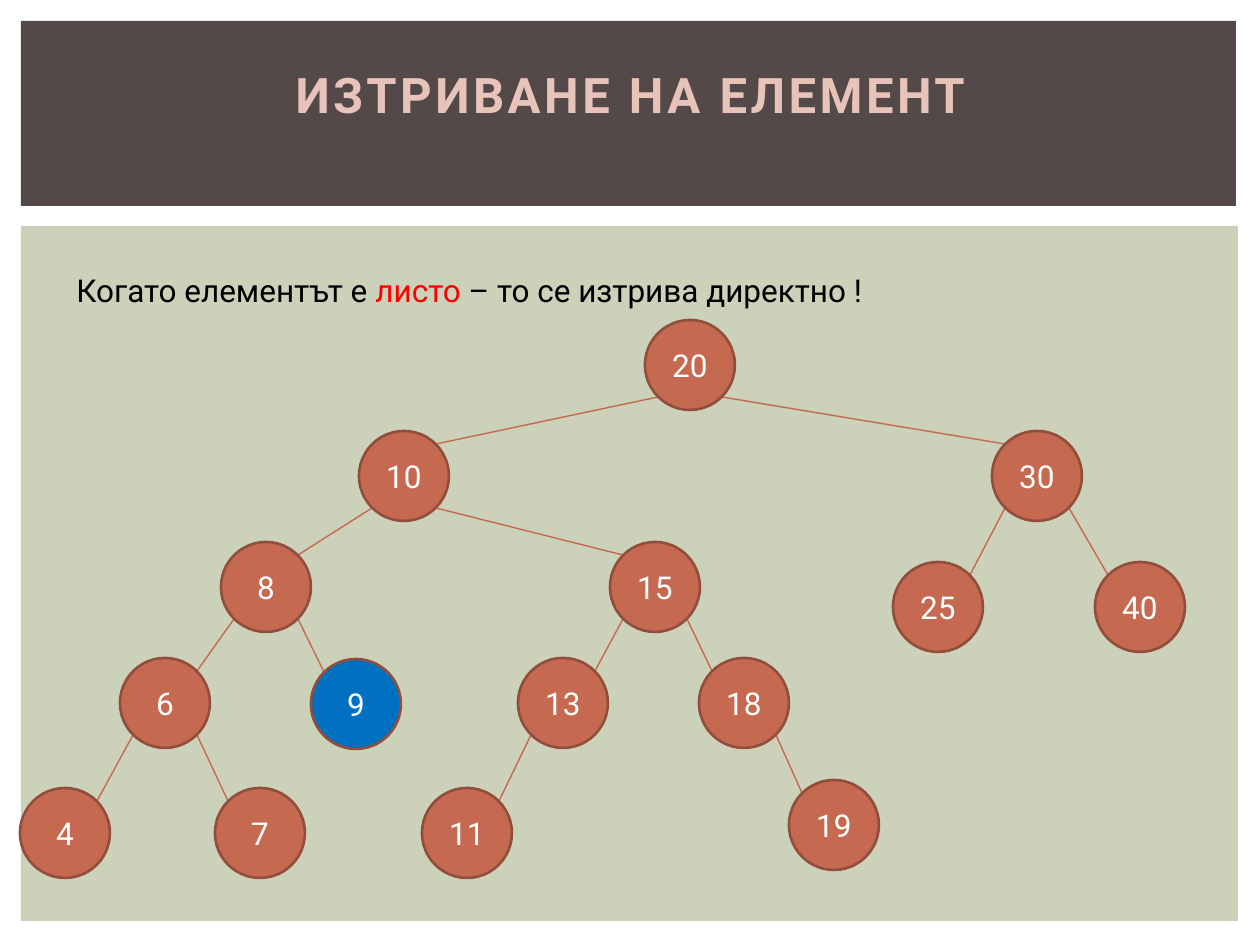
from pptx import Presentation
from pptx.dml.color import RGBColor
from pptx.enum.shapes import MSO_CONNECTOR, MSO_SHAPE
from pptx.enum.text import MSO_ANCHOR, PP_ALIGN
from pptx.oxml.ns import qn
from pptx.util import Pt
from lxml.etree import SubElement

TITLE = "ИЗТРИВАНЕ НА ЕЛЕМЕНТ"
RULE = [
    ("Когато елементът е ", "000000"),
    ("листо", "FF0000"),
    (" – то се изтрива директно !", "000000"),
]
PANELS = [
    ((21, 226, 1217, 695), "CCD1B9"),
    ((21, 21, 1215, 185), "534949"),
]
NODES = {
    20: (645, 320),
    10: (359, 431),
    30: (992, 431),
    8: (221, 542),
    15: (610, 542),
    25: (893, 562),
    40: (1095, 562),
    6: (120, 658),
    9: (311, 659),
    13: (518, 658),
    18: (699, 658),
    4: (20, 788),
    7: (215, 788),
    11: (422, 788),
    19: (789, 780),
}
CHILDREN = {
    20: (10, 30),
    10: (8, 15),
    30: (25, 40),
    8: (6, 9),
    15: (13, 18),
    6: (4, 7),
    13: (11,),
    18: (19,),
}
DELETED = 9
DIAMETER = 90
INSET = 13
FONT = "Roboto"
CLAY, CLAY_DARK, BLUE = "C66951", "924E3C", "0070C0"


def px(value):
    return round(value * 914400 / 126)


def color(code):
    return RGBColor.from_string(code)


def add_span(para, text, size, code):
    span = para.add_run()
    span.text = text
    span.font.name = FONT
    span.font.size = Pt(size)
    span.font.color.rgb = color(code)
    return span


def add_filled(page, kind, place, code):
    shape = page.shapes.add_shape(kind, *map(px, place))
    shape.shadow.inherit = False
    shape.fill.solid()
    shape.fill.fore_color.rgb = color(code)
    shape.line.fill.background()
    return shape


def add_box(page, *place):
    box = page.shapes.add_textbox(*map(px, place))
    box.text_frame.word_wrap = True
    return box.text_frame


def add_edge(page, parent, child):
    (parent_x, parent_y), (child_x, child_y) = NODES[parent], NODES[child]
    far = DIAMETER - INSET
    start, end = (INSET, far) if child < parent else (far, INSET)
    edge = page.shapes.add_connector(
        MSO_CONNECTOR.STRAIGHT,
        px(parent_x + start), px(parent_y + far),
        px(child_x + end), px(child_y + INSET),
    )
    edge.line.color.rgb = color(CLAY)
    edge.line.width = Pt(0.79)
    SubElement(edge._element.spPr, qn("a:effectLst"))


def add_node(page, key, left, top):
    fill = BLUE if key == DELETED else CLAY
    node = add_filled(page, MSO_SHAPE.OVAL, (left, top, DIAMETER, DIAMETER), fill)
    node.line.color.rgb = color(CLAY_DARK)
    node.line.width = Pt(1.5)
    frame = node.text_frame
    frame.margin_left = frame.margin_right = 0
    frame.vertical_anchor = MSO_ANCHOR.MIDDLE
    para = frame.paragraphs[0]
    para.alignment = PP_ALIGN.CENTER
    add_span(para, str(key), 18, "FFFFFF")


def main():
    deck = Presentation()
    deck.slide_width, deck.slide_height = px(1260), px(945)
    page = deck.slides.add_slide(deck.slide_layouts[6])

    for place, code in PANELS:
        add_filled(page, MSO_SHAPE.RECTANGLE, place, code)

    heading = add_box(page, 53, 49, 1155, 145)
    heading.margin_top = px(15)
    heading.vertical_anchor = MSO_ANCHOR.TOP
    para = heading.paragraphs[0]
    para.alignment = PP_ALIGN.CENTER
    span = add_span(para, TITLE, 28, "E8C3B9")
    span.font.bold = True
    span._r.get_or_add_rPr().set("spc", "200")

    rule = add_box(page, 64, 265, 1121, 50).paragraphs[0]
    for text, code in RULE:
        add_span(rule, text, 18, code)

    for parent, children in CHILDREN.items():
        for child in children:
            add_edge(page, parent, child)
    for key, (left, top) in NODES.items():
        add_node(page, key, left, top)

    deck.save("out.pptx")


if __name__ == "__main__":
    main()
